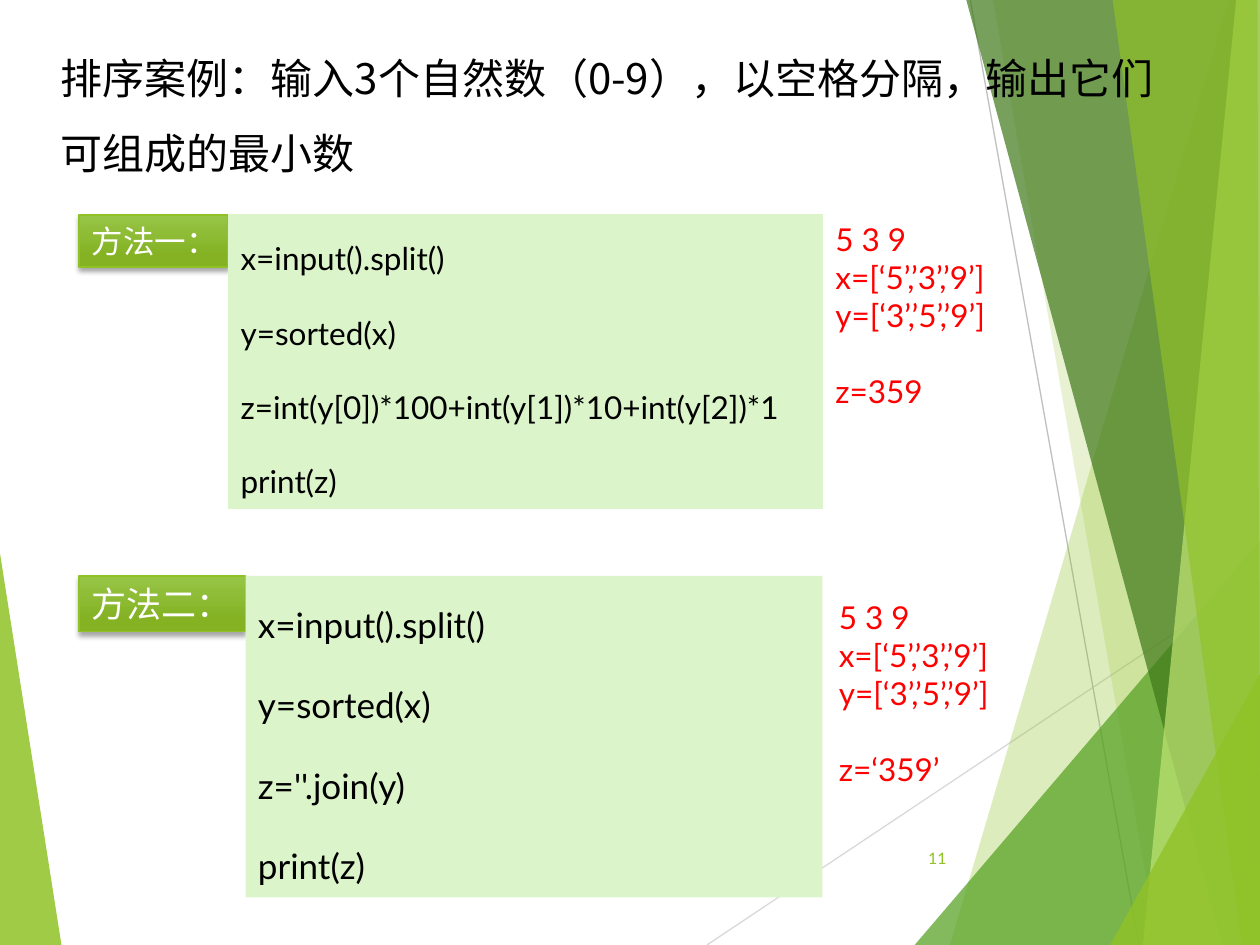
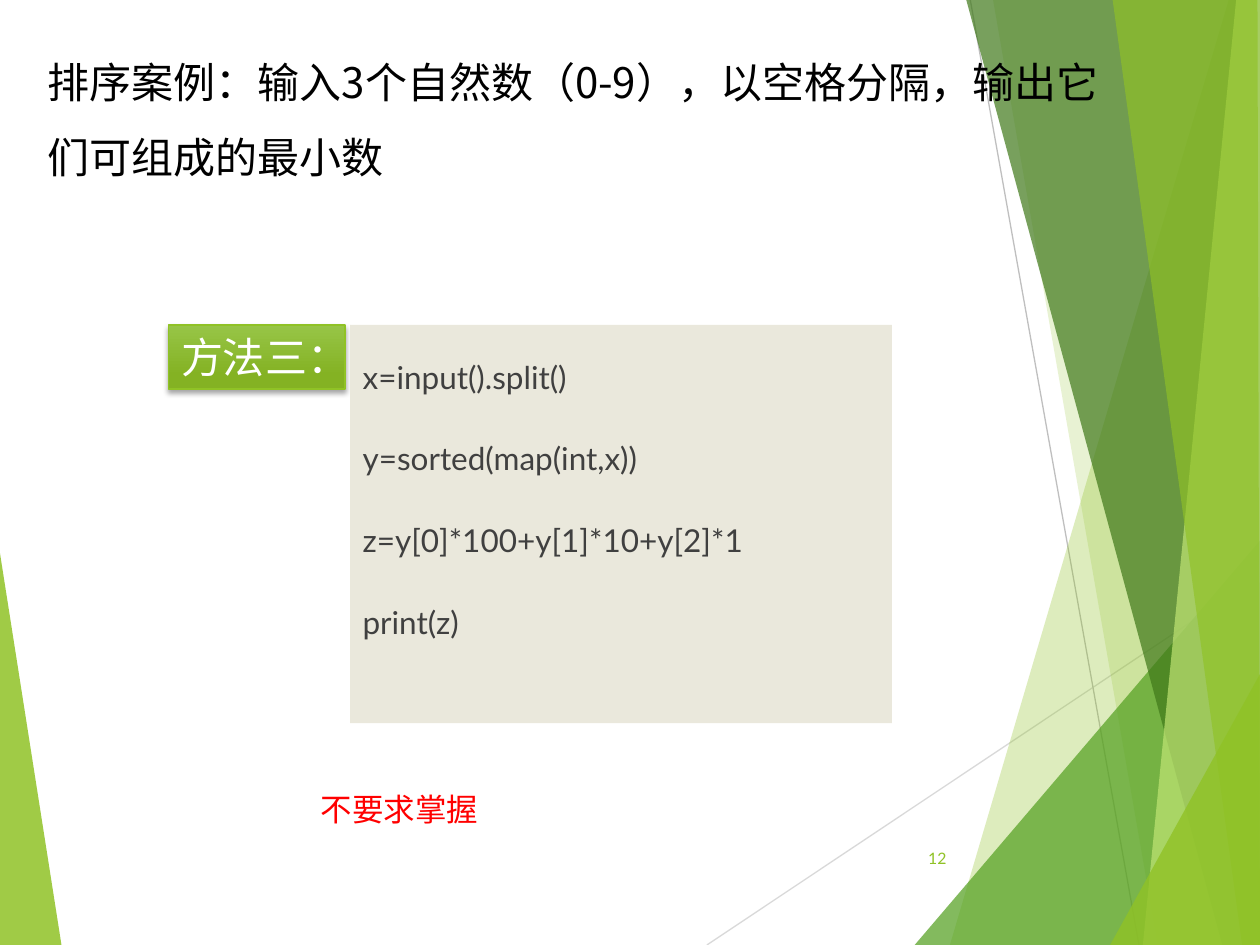
from lxml import etree
from pptx import Presentation
from pptx.dml.color import RGBColor
from pptx.enum import shapes, text
from pptx.oxml.ns import qn
from pptx.util import Cm, Pt

LATIN, CHINESE = "Lato", "Noto Sans CJK SC"
BLACK, WHITE, RED, GRAY = "000000", "FFFFFF", "FF0000", "404040"
GREEN, MINT, SAND = "90C226", "DBF4CA", "EAE8DC"
LABEL_STOPS = ((0, "97C547"), (0.78, "84B223"))
TITLE = "排序案例：输入3个自然数（0-9），以空格分隔，输出它们可组成的最小数"
WIDTH, HEIGHT = 25.4, 19.05

# Corner points in cm, fill colour, opacity in percent
FACETS = [
    ([(0, 11.15), (1.24, HEIGHT), (0, HEIGHT)], GREEN, 85),
    ([(24.77, 0), (19.15, HEIGHT), (WIDTH, HEIGHT), (WIDTH, 0)], GREEN, 30),
    ([(20.02, 0), (23.34, HEIGHT), (WIDTH, HEIGHT), (WIDTH, 0)], GREEN, 20),
    ([(18.44, HEIGHT), (WIDTH, 10.9), (WIDTH, HEIGHT)], "54A021", 72),
    ([(19.48, 0), (24.64, HEIGHT), (WIDTH, HEIGHT), (WIDTH, 0)], "3F7819", 70),
    ([(24.92, 0), (23.04, HEIGHT), (WIDTH, HEIGHT), (WIDTH, 0)], "C0E474", 70),
    ([(22.43, 0), (25.04, HEIGHT), (WIDTH, HEIGHT), (25.35, 0)], GREEN, 65),
    ([(22.38, HEIGHT), (WIDTH, 13.59), (WIDTH, HEIGHT)], GREEN, 80),
]
RAYS = [
    ((14.25, HEIGHT), (WIDTH, 11.61), "D9D9D9"),
    ((19.56, 0), (22.96, HEIGHT), "BFBFBF"),
]


def color(hex_string):
    return RGBColor.from_string(hex_string)


def add_child(parent, tag, **attributes):
    return etree.SubElement(parent, qn(tag), attributes)


def style(paragraph, size, hex_string, typeface=LATIN):
    font = paragraph.font
    font.size, font.name = Pt(size), typeface
    font.color.rgb = color(hex_string)
    add_child(font._rPr, "a:ea", typeface=CHINESE)


def write_lines(shape, lines, size, hex_string, typeface=LATIN,
                spacing=None, gap=0, align=text.PP_ALIGN.LEFT):
    """Fill a shape with one paragraph per line, gap points apart."""
    frame = shape.text_frame
    frame.word_wrap = True
    frame.text = "\n".join(lines)
    for index, paragraph in enumerate(frame.paragraphs):
        paragraph.alignment = align
        if spacing:
            paragraph.line_spacing = spacing
        if index:
            paragraph.space_before = Pt(gap)
        style(paragraph, size, hex_string, typeface)
    return frame


def add_facet(parts, points, hex_string, opacity):
    corners = [(Cm(x), Cm(y)) for x, y in points]
    builder = parts.build_freeform(*corners[0], scale=1.0)
    builder.add_line_segments(corners[1:], close=True)
    facet = builder.convert_to_shape()
    facet.shadow.inherit = False
    facet.line.fill.background()
    facet.fill.solid()
    facet.fill.fore_color.rgb = color(hex_string)
    fill = facet._element.spPr.find(qn("a:solidFill"))
    add_child(fill[0], "a:alpha", val=str(opacity * 1000))


def add_ray(parts, start, end, hex_string):
    ray = parts.add_connector(shapes.MSO_CONNECTOR.STRAIGHT,
                              *(Cm(value) for value in start + end))
    ray.line.color.rgb = color(hex_string)
    ray.line.width = Pt(0.75)
    add_child(ray._element.spPr, "a:effectLst")


def add_backdrop(slide):
    """Draw the green facets and thin rays behind everything else."""
    group = slide.shapes.add_group_shape()
    add_facet(group.shapes, *FACETS[0])
    for ray in RAYS:
        add_ray(group.shapes, *ray)
    for facet in FACETS[1:]:
        add_facet(group.shapes, *facet)
    slide.shapes._spTree.insert(2, group._element)


def add_title(slide, left, top, width):
    title = slide.shapes.title
    title.left, title.top = Cm(left), Cm(top)
    title.width, title.height = Cm(width), Cm(4.27)
    frame = write_lines(title, [TITLE], 24, BLACK, CHINESE, spacing=Pt(43))
    frame.vertical_anchor = text.MSO_ANCHOR.TOP
    frame.auto_size = text.MSO_AUTO_SIZE.NONE


def add_text(slide, left, top, width, height, lines, size, hex_string, **options):
    box = slide.shapes.add_textbox(Cm(left), Cm(top), Cm(width), Cm(height))
    return write_lines(box, lines, size, hex_string, **options)


def add_rectangle(slide, left, top, width, height):
    rectangle = slide.shapes.add_shape(
        shapes.MSO_SHAPE.RECTANGLE, Cm(left), Cm(top), Cm(width), Cm(height))
    rectangle.shadow.inherit = False
    return rectangle


def add_label(slide, left, top, width, height, caption, size):
    label = add_rectangle(slide, left, top, width, height)
    label.fill.gradient()
    label.fill.gradient_angle = 270
    for stop, (position, hex_string) in zip(label.fill.gradient_stops, LABEL_STOPS):
        stop.position = position
        stop.color.rgb = color(hex_string)
    label.line.color.rgb = color(GREEN)
    label.line.width = Pt(1)
    effects = label._element.spPr.find(qn("a:effectLst"))
    shadow = add_child(effects, "a:outerShdw", blurRad=str(Pt(3)), dist=str(Pt(2)),
                       dir="5400000", rotWithShape="0")
    add_child(add_child(shadow, "a:srgbClr", val=BLACK), "a:alpha", val="35000")
    frame = write_lines(label, [caption], size, WHITE, CHINESE)
    frame.word_wrap = False
    frame.margin_right = 0
    frame.vertical_anchor = text.MSO_ANCHOR.MIDDLE


def add_code(slide, left, top, width, height, lines, size,
             fill=MINT, hex_string=BLACK, spacing=1.5):
    panel = add_rectangle(slide, left, top, width, height)
    panel.fill.solid()
    panel.fill.fore_color.rgb = color(fill)
    panel.line.fill.background()
    frame = write_lines(panel, lines, size, hex_string, spacing=spacing, gap=10)
    frame.vertical_anchor = text.MSO_ANCHOR.TOP


def add_result(slide, left, top, answer):
    """Show the sample input, both lists and, set apart, the answer."""
    lines = ["5 3 9", "x=[‘5’,’3’,’9’]", "y=[‘3’,’5’,’9’]", answer]
    frame = add_text(slide, left, top, 4.55, 4.11, lines, 18, RED)
    frame.paragraphs[-1].space_before = Pt(21.6)


def add_case_slide(presentation, number, title_box):
    slide = presentation.slides.add_slide(presentation.slide_layouts[5])
    add_backdrop(slide)
    add_title(slide, *title_box)
    frame = add_text(slide, 17.91, 16.79, 1.42, 1.02, [str(number)], 9, GREEN,
                     align=text.PP_ALIGN.RIGHT)
    frame.vertical_anchor = text.MSO_ANCHOR.MIDDLE
    return slide


def add_string_methods(presentation):
    slide = add_case_slide(presentation, 11, (0.97, 0.43, 22.68))
    add_label(slide, 1.6, 4.33, 3, 1.06, "方法一：", 18)
    add_code(slide, 4.6, 4.32, 11.99, 5.94,
             ["x=input().split()", "y=sorted(x)",
              "z=int(y[0])*100+int(y[1])*10+int(y[2])*1", "print(z)"], 18)
    add_result(slide, 16.59, 4.32, "z=359")
    add_label(slide, 1.6, 11.61, 3.35, 1.12, "方法二：", 20)
    add_code(slide, 4.95, 11.61, 11.63, 6.48,
             ["x=input().split()", "y=sorted(x)", "z=''.join(y)", "print(z)"], 20)
    add_result(slide, 16.66, 11.94, "z=‘359’")


def add_map_method(presentation):
    slide = add_case_slide(presentation, 12, (0.71, 0.51, 21.89))
    add_label(slide, 3.4, 6.55, 3.56, 1.3, "方法三：", 24)
    add_code(slide, 7.06, 6.55, 10.92, 8.03,
             ["x=input().split()", "y=sorted(map(int,x))",
              "z=y[0]*100+y[1]*10+y[2]*1", "print(z)"], 18,
             fill=SAND, hex_string=GRAY, spacing=1.7)
    add_text(slide, 6.22, 15.8, 3.9, 1.02, ["不要求掌握"], 18, RED)


def main():
    presentation = Presentation()
    presentation.slide_width, presentation.slide_height = Cm(WIDTH), Cm(HEIGHT)
    add_string_methods(presentation)
    add_map_method(presentation)
    presentation.save("out.pptx")


if __name__ == "__main__":
    main()
